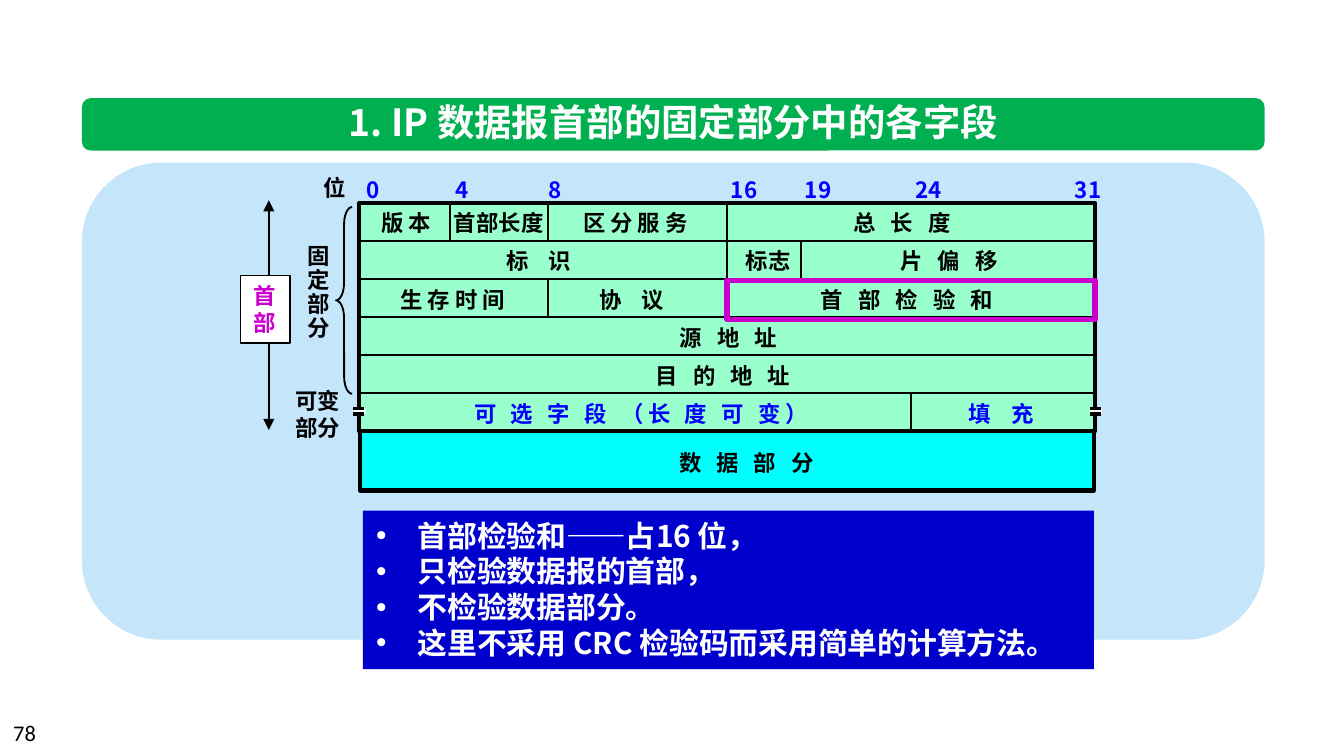
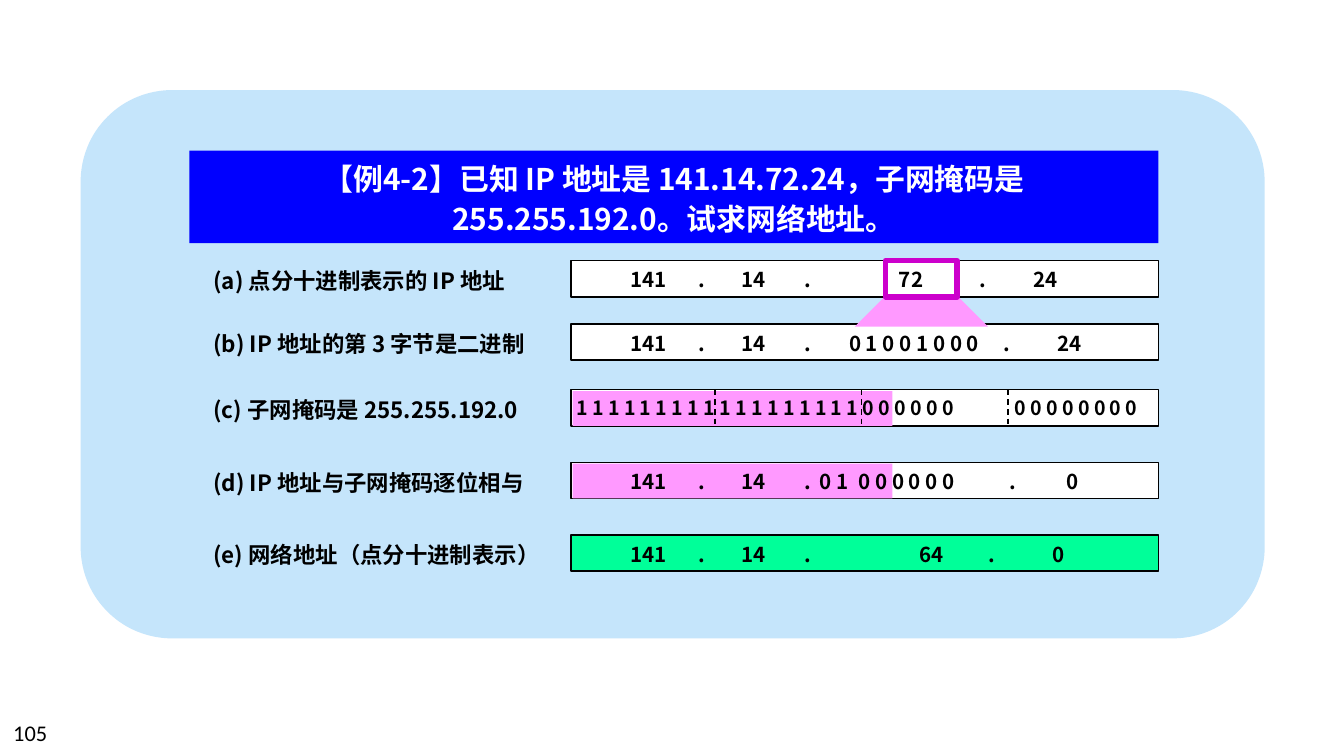
from lxml.etree import SubElement
from pptx import Presentation
from pptx.dml.color import RGBColor
from pptx.enum.dml import MSO_LINE
from pptx.enum.shapes import MSO_CONNECTOR, MSO_SHAPE as SHAPE
from pptx.enum.text import MSO_ANCHOR, MSO_AUTO_SIZE, PP_ALIGN
from pptx.oxml.ns import qn
from pptx.util import Inches, Pt

BLACK = RGBColor(0x00, 0x00, 0x00)
WHITE = RGBColor(0xFF, 0xFF, 0xFF)
TITLE_GREEN = RGBColor(0x00, 0xB0, 0x50)
PANEL_BLUE = RGBColor(0xC5, 0xE5, 0xFB)
HEADER_MINT = RGBColor(0x99, 0xFF, 0xCC)
DATA_CYAN = RGBColor(0x00, 0xFF, 0xFF)
RESULT_GREEN = RGBColor(0x00, 0xFF, 0x99)
BLUE = RGBColor(0x00, 0x00, 0xFF)
NOTE_BLUE = RGBColor(0x00, 0x00, 0xCC)
MAGENTA = RGBColor(0xCC, 0x00, 0xCC)
PINK = RGBColor(0xFF, 0x99, 0xFF)
CJK_FONT = "Noto Sans CJK SC"
LINE_HEIGHT = 1.2


def paint(shape, fill=None, line=None, width=1):
    shape.shadow.inherit = False
    if fill is None:
        shape.fill.background()
    else:
        shape.fill.solid()
        shape.fill.fore_color.rgb = fill
    if line is None:
        shape.line.fill.background()
    else:
        shape.line.color.rgb = line
        shape.line.width = Pt(width)
    return shape


def add_box(page, at, fill=None, line=None, width=1, kind=SHAPE.RECTANGLE):
    shape = page.shapes.add_shape(kind, *map(Inches, at))
    return paint(shape, fill, line, width)


def add_line(page, start, end, width=1.0, dashed=False, arrows=False):
    line = page.shapes.add_connector(
        MSO_CONNECTOR.STRAIGHT, *map(Inches, (*start, *end)))
    line.line.color.rgb = BLACK
    line.line.width = Pt(width)
    if dashed:
        line.line.dash_style = MSO_LINE.DASH
    props = line._element.spPr
    if arrows:
        for end_tag in ("a:headEnd", "a:tailEnd"):
            SubElement(props.find(qn("a:ln")), qn(end_tag), type="triangle")
    SubElement(props, qn("a:effectLst"))


def write(box, text, size=12, color=BLACK, align=PP_ALIGN.LEFT, leading=1.0,
          tracking=0, wrap=True, bullets=False, tabs=(), font=CJK_FONT):
    """Fill a shape; tracking is in points, tabs in inches from the text edge."""
    frame = box.text_frame
    frame.word_wrap = wrap
    frame.auto_size = MSO_AUTO_SIZE.NONE if wrap else MSO_AUTO_SIZE.SHAPE_TO_FIT_TEXT
    frame.vertical_anchor = MSO_ANCHOR.TOP
    frame.text = text
    for para in frame.paragraphs:
        para.alignment = align
        para.line_spacing = Pt(size * LINE_HEIGHT * leading)
        props = para._p.get_or_add_pPr()
        if bullets:
            indent = Inches(0.31)
            props.set("marL", str(indent))
            props.set("indent", str(-indent))
            SubElement(props, qn("a:buFont"), typeface="Arial")
            SubElement(props, qn("a:buChar"), char="•")
        if tabs:
            stops = SubElement(props, qn("a:tabLst"))
            for stop in tabs:
                SubElement(stops, qn("a:tab"), pos=str(Inches(stop)), algn="l")
        for span in para.runs:
            span.font.size = Pt(size)
            span.font.bold = font == CJK_FONT
            span.font.name = font
            span.font.color.rgb = color
            span_props = span._r.get_or_add_rPr()
            SubElement(span_props, qn("a:ea"), typeface=font)
            if tracking:
                span_props.set("spc", str(round(tracking * 100)))


def add_text(page, at, text, **style):
    box = page.shapes.add_textbox(*map(Inches, at))
    write(box, text, **{"wrap": False, **style})


def add_page(deck, number, panel):
    page = deck.slides.add_slide(deck.slide_layouts[6])
    add_box(page, panel, PANEL_BLUE, kind=SHAPE.ROUNDED_RECTANGLE)
    add_text(page, (0, 5.3, 2.33, 0.3), number, font="Calibri", wrap=True)
    return page


def title_band(page, at):
    left, top, width, _ = at
    add_box(page, at, TITLE_GREEN, kind=SHAPE.ROUNDED_RECTANGLE)
    add_text(page, (left + 1.76, top - 0.04, width - 3.52, 0.44),
             "1. IP 数据报首部的固定部分中的各字段",
             size=20, color=WHITE, align=PP_ALIGN.CENTER)


def header_fields(page, at):
    """Draw the six rows of the datagram header, its bit scale and data part."""
    left, top, width, height = at
    row_count = 6
    row_height = height / row_count
    bit_x = {4: 0.68, 8: 1.41, 16: 2.74, 19: 3.29, 24: 4.11}

    add_box(page, at, HEADER_MINT, BLACK, 2)
    data_box = (left + 0.01, top + height, width - 0.02, 0.44)
    add_box(page, data_box, DATA_CYAN, BLACK, 2.25)
    add_text(page, (left + 1.87, top + height + 0.08, 2.03, 0.3), "数 据 部 分",
             tracking=2.7, align=PP_ALIGN.CENTER, wrap=True)

    for row in range(1, row_count):
        y = top + row * row_height
        add_line(page, (left, y), (left + width, y))
    dividers = [(4, 0, 1), (8, 0, 1), (8, 2, 3), (16, 0, 3), (19, 1, 2), (24, 5, 6)]
    for bit, first, last in dividers:
        x = left + bit_x[bit]
        add_line(page, (x, top + first * row_height), (x, top + last * row_height))

    bit_labels = [("0", -0.04), ("4", 0.62), ("8", 1.31), ("16", 2.67),
                  ("19", 3.22), ("24", 4.04), ("31", 5.23)]
    for label, x in bit_labels:
        box_width = 0.3 if len(label) == 1 else 0.41
        add_text(page, (left + x, top - 0.25, box_width, 0.3), label, color=BLUE)
    add_text(page, (left - 0.36, top - 0.26, 0.37, 0.3), "位")

    fields = [  # row, left, width, name, tracking
        (0, 0.07, 0.59, "版 本", 0), (0, 0.61, 0.87, "首部长度", 0),
        (0, 1.57, 1.03, "区 分 服 务", 0), (0, 3.58, 1.01, "总 长 度", 2.7),
        (1, 1.0, 0.74, "标 识", 4), (1, 2.78, 0.54, "标志", 0),
        (1, 3.93, 1.01, "片 偏 移", 2.7), (2, 0.21, 1.03, "生 存 时 间", 0),
        (2, 1.69, 0.74, "协 议", 4), (2, 3.34, 1.65, "首 部 检 验 和", 2.7),
        (3, 2.29, 1.01, "源 地 址", 2.7), (4, 2.11, 1.33, "目 的 地 址", 2.7),
        (5, 0.76, 2.9, "可 选 字 段 （长 度 可 变）", 2.5),
        (5, 4.44, 0.74, "填 充", 4),
    ]
    for row, x, box_width, name, tracking in fields:
        add_text(page, (left + x, top + row * row_height, box_width, 0.3), name,
                 color=BLUE if row == 5 else BLACK, tracking=tracking)

    for x in (left - 0.04, left + width - 0.04):
        y = top + 1.53
        add_box(page, (x, y, 0.09, 0.04), WHITE)
        for edge in (y, y + 0.04):
            add_line(page, (x, edge), (x + 0.08, edge), 2)
    add_box(page, (left + bit_x[16], top + 2 * row_height + 0.01, 2.74, 0.29),
            line=MAGENTA, width=3)


def header_brackets(page, at):
    """Mark the whole header, its fixed part and its variable part."""
    left, top, width, height = at
    arrow_x = left + 0.21
    add_line(page, (arrow_x, top), (arrow_x, top + height), arrows=True)
    header_box = add_box(page, (left, top + 0.56, 0.37, 0.5), WHITE, BLACK)
    write(header_box, "首\n部", color=MAGENTA)
    brace = add_box(page, (left + width - 0.12, top + 0.05, 0.12, 1.39),
                    line=BLACK, kind=SHAPE.LEFT_BRACE)
    brace.adjustments[0] = 1.08
    add_text(page, (left + 0.4, top + 0.28, 0.37, 0.83), "固\n定\n部\n分", leading=0.9)
    add_text(page, (left + 0.31, top + 1.34, 0.54, 0.5), "可变\n部分")


def checksum_notes(page, at):
    notes = ["首部检验和——占16 位，", "只检验数据报的首部，", "不检验数据部分。",
             "这里不采用 CRC 检验码而采用简单的计算方法。"]
    write(add_box(page, at, NOTE_BLUE), "\n".join(notes),
          size=16, color=WHITE, bullets=True)


def question_band(page, at):
    band = add_box(page, at, BLUE)
    write(band, "【例4-2】已知 IP 地址是 141.14.72.24，子网掩码是 255.255.192.0。试求网络地址。",
          size=16, color=WHITE, align=PP_ALIGN.CENTER, leading=1.1)
    band.text_frame.margin_left = band.text_frame.margin_right = Inches(0.5)


def add_tokens(page, left, top, width, tokens):
    """Set (text, offset) tokens on one line, each at its own tab stop."""
    start = tokens[0][1]
    add_text(page, (left + start - 0.1, top, width, 0.29),
             "\t".join(text for text, _ in tokens), size=11, wrap=True,
             tabs=[offset - start for _, offset in tokens[1:]])


def address_steps(page, at):
    """Draw steps (a) to (e), each a label and a bar with its address."""
    left, top, width, _ = at
    bar_x, bar_height = 2.76, 0.27
    bar_left, bar_width = left + bar_x, width - bar_x
    prefix = [("141", 0.44), (".", 0.95), ("14", 1.27), (".", 1.74)]
    steps = [  # top, label, label width, bar fill, token groups
        (0, "(a) 点分十进制表示的 IP 地址", 2.57, WHITE,
         [prefix, [("72", 2.44), (".", 3.04), ("24", 3.44)]]),
        (0.47, "(b) IP 地址的第 3 字节是二进制", 2.75, WHITE,
         [prefix, [("0 1 0 0 1 0 0 0", 2.07)], [(".", 3.22), ("24", 3.62)]]),
        (0.96, "(c) 子网掩码是 255.255.192.0", 2.68, WHITE, []),
        (1.5, "(d) IP 地址与子网掩码逐位相与", 2.71, WHITE,
         [prefix + [("0 1", 1.85), ("0 0 0 0 0 0", 2.14)],
          [(".", 3.26), ("0", 3.69)]]),
        (2.04, "(e) 网络地址（点分十进制表示）", 2.82, RESULT_GREEN,
         [prefix, [("64", 2.59), (".", 3.11), ("0", 3.58)]]),
    ]
    for offset, label, label_width, fill, _ in steps:
        y = top + offset
        add_box(page, (bar_left, y, bar_width, bar_height), fill, BLACK, 0.75)
        add_text(page, (left, y, label_width, 0.32), label)

    third_byte = (bar_left + 2.34, top, 0.53, bar_height)
    zoom_wedge(page, third_byte)
    for offset in (0.97, 1.51):
        add_box(page, (bar_left + 0.01, top + offset, 2.38, 0.26), PINK)
    mask_bits(page, bar_left, top + 0.96)
    for offset, _, _, _, groups in steps:
        for tokens in groups:
            group_width = 1.67 if tokens[0][0] != "141" else 3.07
            add_tokens(page, bar_left, top + offset, group_width, tokens)
    add_box(page, third_byte, line=MAGENTA, width=3)


def zoom_wedge(page, at):
    """Widen from the bottom of a byte box towards the bar below it."""
    left, top, width, height = at
    upper, lower, flare = top + height - 0.01, top + 0.49, 0.23
    corners = [(left, upper), (left + width, upper),
               (left + width + flare, lower), (left - flare, lower)]
    points = [(Inches(x), Inches(y)) for x, y in corners]
    builder = page.shapes.build_freeform(*points[0], scale=1.0)
    builder.add_line_segments(points[1:], close=True)
    paint(builder.convert_to_shape(), PINK)


def mask_bits(page, left, top):
    for x, box_width, bits in ((-0.06, 3.52, "1" * 18 + "0" * 6), (3.2, 1.28, "0" * 8)):
        add_text(page, (left + x, top, box_width, 0.28), " ".join(bits), size=10.5)
    for byte in (1, 2, 3):
        x = left - 0.02 + byte * 1.09
        add_line(page, (x, top), (x, top + 0.27), 0.75, dashed=True)


def header_slide(deck):
    page = add_page(deck, "78", (0.61, 1.21, 8.8, 3.55))
    title_band(page, (0.61, 0.73, 8.8, 0.39))
    header_fields(page, (2.67, 1.51, 5.48, 1.7))
    header_brackets(page, (1.79, 1.49, 0.83, 1.71))
    checksum_notes(page, (2.7, 3.8, 5.44, 1.18))


def subnet_slide(deck):
    page = add_page(deck, "105", (0.6, 0.67, 8.81, 4.08))
    question_band(page, (1.41, 1.12, 7.21, 0.69))
    address_steps(page, (1.49, 1.94, 7.13, 2.31))


def main():
    deck = Presentation()
    deck.slide_width = Inches(10)
    deck.slide_height = deck.slide_width * 9 // 16
    header_slide(deck)
    subnet_slide(deck)
    deck.save("out.pptx")


if __name__ == "__main__":
    main()
